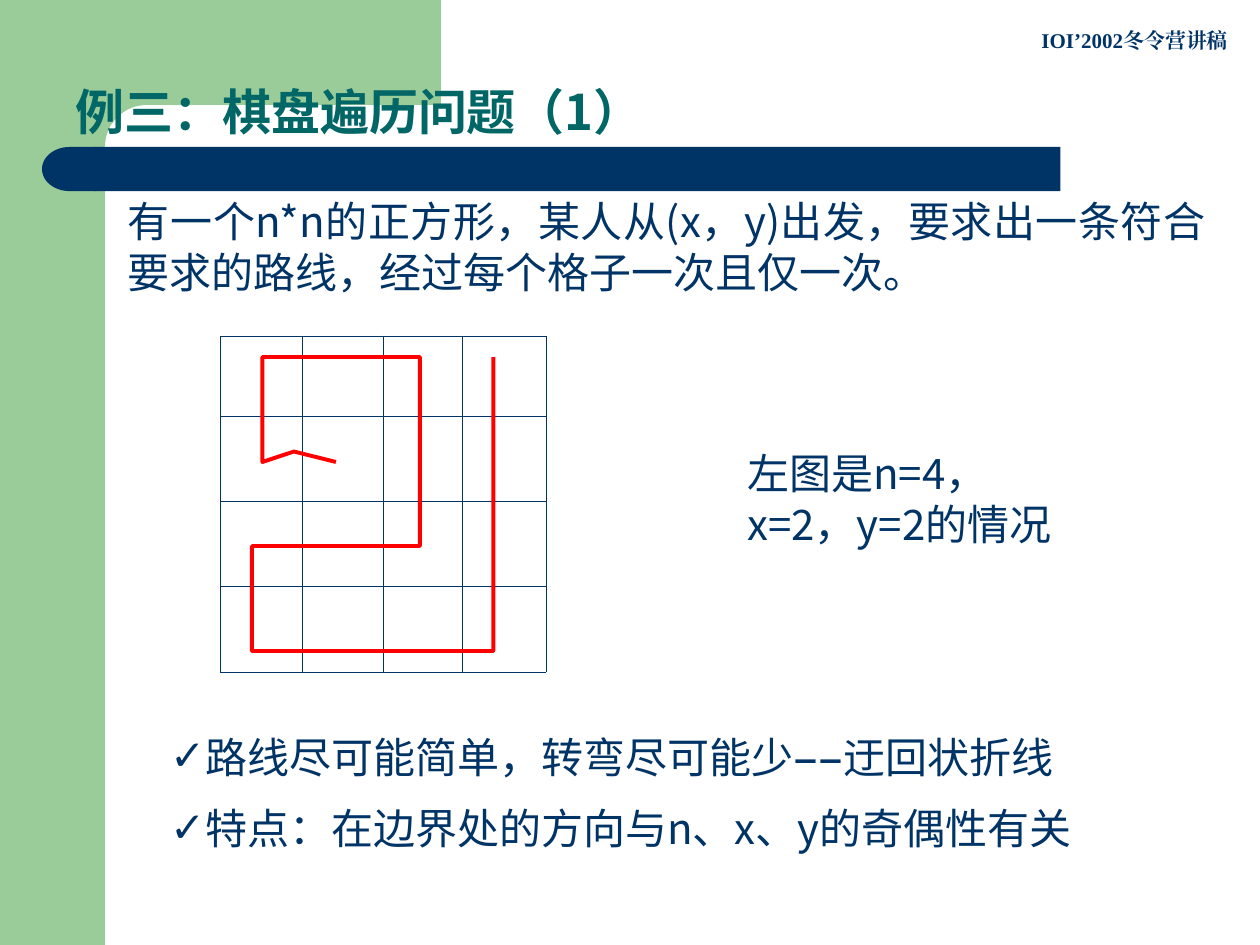
"""Build the chessboard traversal slide on a grid of 120 columns by 90 rows."""
from dataclasses import dataclass

import lxml.etree
import pptx
import pptx.dml.color
import pptx.enum.shapes
import pptx.enum.text
import pptx.oxml.ns
import pptx.util

COLUMNS, ROWS = 120, 90
GREEN, NAVY, TEAL, RED, WHITE = "99CC99", "003366", "006666", "FF0000", "FFFFFF"
SANS, BODY, SERIF = "Noto Sans CJK SC", "Cabin", "Times New Roman"
SHAPES = pptx.enum.shapes.MSO_SHAPE
ALIGN = pptx.enum.text.PP_ALIGN
ANCHOR = pptx.enum.text.MSO_ANCHOR

presentation = pptx.Presentation()
presentation.slide_width = pptx.util.Inches(10)
presentation.slide_height = pptx.util.Inches(7.5)
CELL = presentation.slide_width // COLUMNS


@dataclass(frozen=True)
class Box:
    """A rectangle in grid columns and rows."""
    column: float
    row: float
    width: float
    height: float

    def lengths(self) -> tuple:
        """Return left, top, width and height as lengths."""
        return tuple(round(value * CELL)
                     for value in (self.column, self.row, self.width, self.height))


@dataclass(frozen=True)
class Block:
    """A plain coloured part of the background."""
    kind: int
    box: Box
    color: str
    rounding: float | None = None
    flipped: bool = False


@dataclass(frozen=True)
class Run:
    """A piece of text in one font."""
    text: str
    font: str


@dataclass(frozen=True)
class Style:
    """The look of one paragraph."""
    size: float = 24
    color: str = NAVY
    bold: bool = False
    align: int = ALIGN.LEFT
    spacing: object = pptx.util.Pt(29)
    anchor: int = ANCHOR.TOP
    bullet: str = ""


BLOCKS = (
    Block(SHAPES.RECTANGLE, Box(0, 0, 10, ROWS), GREEN),
    Block(SHAPES.RECTANGLE, Box(9, 0, 33, 14), GREEN),
    Block(SHAPES.ROUNDED_RECTANGLE, Box(10, 10, 67, 8), WHITE, 0.5),
    Block(SHAPES.ROUNDED_RECTANGLE, Box(9, 14, 92, 4.2), NAVY, 0),
    Block(SHAPES.FLOWCHART_DELAY, Box(4, 14, 5.2, 4.2), NAVY, flipped=True),
)
TITLE = Box(6, -1, 102, 15)
TITLE_STYLE = Style(28, TEAL, True, spacing=0.9, anchor=ANCHOR.BOTTOM)
TEXTS = (
    (Box(98, 2, 22, 6), Run("IOI’2002冬令营讲稿", SERIF), Style(12, bold=True, spacing=1.0)),
    (Box(11, 18, 105, 18),
     Run("有一个n*n的正方形，某人从(x，y)出发，要求出一条符合要求的路线，经过每个格子一次且仅一次。", SANS),
     Style(align=ALIGN.JUSTIFY)),
    (Box(70, 42, 35, 15.6), Run("左图是n=4，x=2，y=2的情况", SANS), Style()),
)
POINTS = (
    (Box(15, 69, 93, 6), (Run("路线尽可能简单，转弯尽可能少——迂回状折线", BODY),)),
    (Box(15, 75.8, 90, 14),
     (Run("特点：在边界处的方向与", BODY), Run("n、x、y", SANS), Run("的奇偶性有关", BODY))),
)
BOARD = Box(21, 32, 31, 32)
BOARD_COLUMNS = (7.8, 7.7, 7.5, 8)
BOARD_ROWS = (7.7, 8.1, 8.1, 8.1)
ROUTE = ((31.7, 43.6), (28.5, 43.4), (25.2, 43.6), (25.2, 34.5), (40.2, 34.5),
         (40.2, 52.5), (24.2, 52.5), (24.2, 61.5), (47.3, 61.5), (47.3, 34.5))


def rgb(color: str) -> pptx.dml.color.RGBColor:
    """Turn a hex string into a colour."""
    return pptx.dml.color.RGBColor.from_string(color)


def add_element(parent, tag: str, **attributes: str):
    """Append a drawing element with the given attributes."""
    return lxml.etree.SubElement(parent, pptx.oxml.ns.qn(tag), attributes)


def place(shape, box: Box) -> None:
    """Move a shape to a box on the grid."""
    shape.left, shape.top, shape.width, shape.height = box.lengths()


def draw_block(slide, block: Block) -> None:
    """Draw one background block without outline."""
    shape = slide.shapes.add_shape(block.kind, *block.box.lengths())
    shape.shadow.inherit = False
    shape.fill.solid()
    shape.fill.fore_color.rgb = rgb(block.color)
    shape.line.fill.background()
    if block.rounding is not None:
        shape.adjustments[0] = block.rounding
    if block.flipped:
        shape.element.spPr.xfrm.set("flipH", "1")


def write(shape, runs: tuple[Run, ...], style: Style) -> None:
    """Fill a shape with one styled paragraph."""
    frame = shape.text_frame
    frame.word_wrap = True
    frame.auto_size = pptx.enum.text.MSO_AUTO_SIZE.NONE
    frame.vertical_anchor = style.anchor
    paragraph = frame.paragraphs[0]
    paragraph.alignment = style.align
    paragraph.line_spacing = style.spacing
    paragraph.space_before = pptx.util.Pt(0)
    if style.bullet:
        properties = paragraph._p.get_or_add_pPr()
        indent = pptx.util.Inches(0.24)
        properties.set("marL", str(indent))
        properties.set("indent", str(-indent))
        color = add_element(properties, "a:buClr")
        add_element(color, "a:srgbClr", val=style.color)
        add_element(properties, "a:buChar", char=style.bullet)
    for piece in runs:
        run = paragraph.add_run()
        run.text = piece.text
        run.font.size = pptx.util.Pt(style.size)
        run.font.bold = style.bold
        run.font.color.rgb = rgb(style.color)
        run.font.name = piece.font
        add_element(run.font._element, "a:ea", typeface=piece.font)


def draw_board(slide) -> None:
    """Draw the empty four by four board."""
    table = slide.shapes.add_table(
        len(BOARD_ROWS), len(BOARD_COLUMNS), *BOARD.lengths()).table
    table.first_row = table.horz_banding = False
    for column, width in zip(table.columns, BOARD_COLUMNS):
        column.width = round(width * CELL)
    for row, height in zip(table.rows, BOARD_ROWS):
        row.height = round(height * CELL)
    for cell in table.iter_cells():
        properties = cell._tc.get_or_add_tcPr()
        for side in ("a:lnL", "a:lnR", "a:lnT", "a:lnB"):
            line = add_element(properties, side, w=str(pptx.util.Pt(0.45)))
            fill = add_element(line, "a:solidFill")
            add_element(fill, "a:srgbClr", val=NAVY)
        cell.fill.background()


def draw_route(slide) -> None:
    """Draw the winding route through the board."""
    start, *turns = ROUTE
    builder = slide.shapes.build_freeform(*start, scale=CELL)
    builder.add_line_segments(turns, close=False)
    route = builder.convert_to_shape()
    route.shadow.inherit = False
    route.fill.background()
    route.line.color.rgb = rgb(RED)
    route.line.width = pptx.util.Pt(2.25)


def main() -> None:
    """Build and save the slide."""
    slide = presentation.slides.add_slide(presentation.slide_layouts[3])
    title, *lists = [slide.placeholders[index] for index in range(3)]
    for block in BLOCKS:
        draw_block(slide, block)
    slide.shapes.element.append(title.element)
    place(title, TITLE)
    write(title, (Run("例三：棋盘遍历问题（1）", SANS),), TITLE_STYLE)
    for box, run, style in TEXTS:
        write(slide.shapes.add_textbox(*box.lengths()), (run,), style)
    draw_board(slide)
    draw_route(slide)
    for shape, (box, runs) in zip(lists, POINTS):
        place(shape, box)
        write(shape, runs, Style(bullet="✓"))
    presentation.save("out.pptx")


if __name__ == "__main__":
    main()
